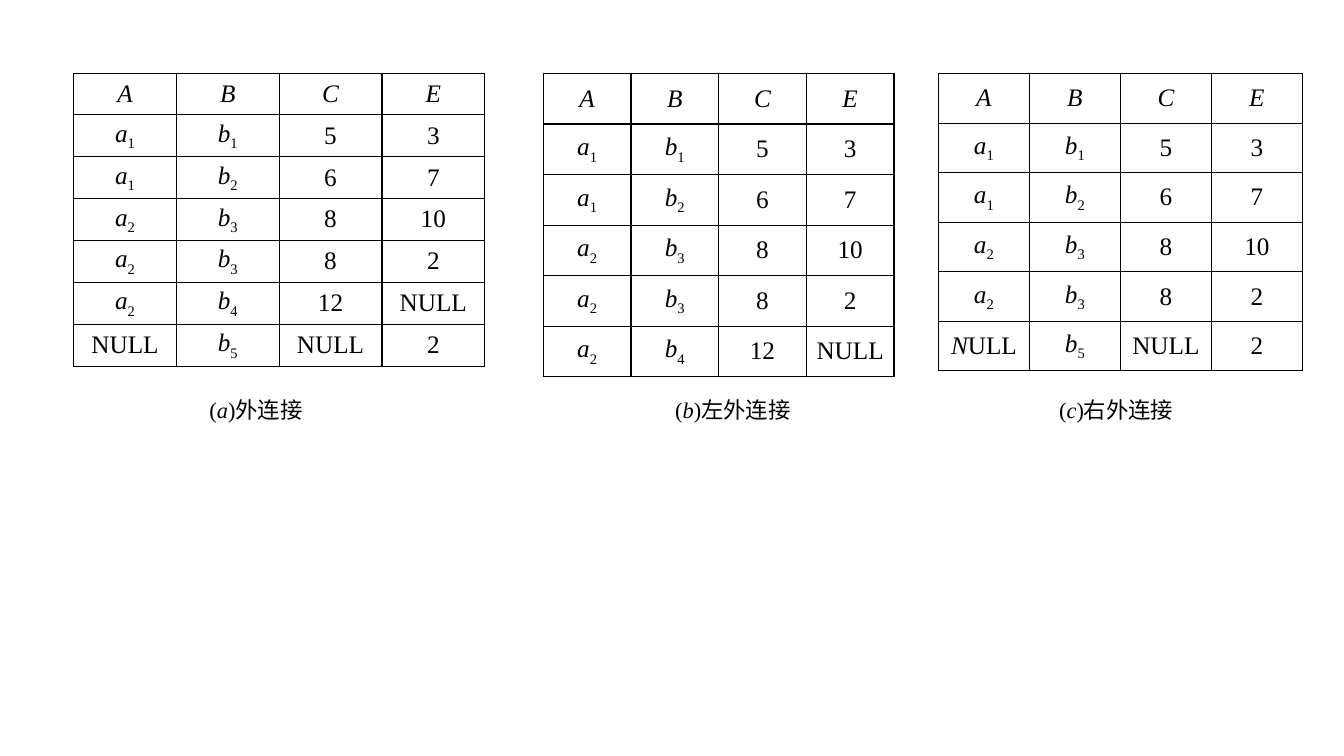
"""Build a slide comparing the results of three outer joins."""
import pptx
import pptx.dml.color
import pptx.enum.text
import pptx.oxml
import pptx.util
from pptx.oxml.ns import nsdecls

Pt = pptx.util.Pt
LATIN_FONT = "Times New Roman"
CHINESE_FONT = "Noto Sans CJK SC"
BLACK = "000000"
TABLE_TOP = 52.56
CAPTION_TOP = 279.36

HEADER = ["*A", "*B", "*C", "*E"]
MATCHED_ROWS = [
    ["*a _1", "*b _1", "5", "3"],
    ["*a _1", "*b _2", "6", "7"],
    ["*a _2", "*b _3", "8", "10"],
    ["*a _2", "*b _3", "8", "2"],
]
LEFT_ONLY = ["*a _2", "*b _4", "12", "NULL"]
RIGHT_ONLY = ["NULL", "*b _5", "NULL", "2"]
RIGHT_ONLY_ITALIC = ["*N ULL"] + RIGHT_ONLY[1:]

JOINS = [
    {"left": 52.56, "width": 293.76, "row_height": 29.2,
     "extra_rows": [LEFT_ONLY, RIGHT_ONLY],
     "caption_left": 142.56, "caption_width": 95, "letter": "a", "name": "外连接"},
    {"left": 388.08, "width": 250.56, "row_height": 36.1,
     "extra_rows": [LEFT_ONLY],
     "caption_left": 475.2, "caption_width": 111.6, "letter": "b", "name": "左外连接"},
    {"left": 670.32, "width": 260, "row_height": 35.4,
     "extra_rows": [RIGHT_ONLY_ITALIC],
     "caption_left": 749.52, "caption_width": 111.6, "letter": "c", "name": "右外连接"},
]


def color(hex_text):
    """Return the colour for a hex string."""
    return pptx.dml.color.RGBColor.from_string(hex_text)


def add_run(paragraph, text, size, font_name=LATIN_FONT):
    """Add a run; a leading * makes it italic and a leading _ a subscript."""
    run = paragraph.add_run()
    run.text = text.lstrip("*_")
    font = run.font
    font.name = font_name
    font.size = Pt(size)
    font.color.rgb = color(BLACK)
    font.italic = text.startswith("*")
    properties = run._r.get_or_add_rPr()
    if text.startswith("_"):
        properties.set("baseline", "-25000")
    properties.append(pptx.oxml.parse_xml(
        f'<a:ea {nsdecls("a")} typeface="{font_name}"/>'))


def add_borders(cell):
    """Draw a thin black line on all four sides of a cell."""
    properties = cell._tc.get_or_add_tcPr()
    for side in ("L", "R", "T", "B"):
        properties.append(pptx.oxml.parse_xml(
            f'<a:ln{side} {nsdecls("a")} w="{Pt(1)}"><a:solidFill>'
            f'<a:srgbClr val="{BLACK}"/></a:solidFill></a:ln{side}>'))


def fill_cell(cell, markup):
    """Write the marked-up runs centred in a bordered cell without fill."""
    add_borders(cell)
    cell.fill.background()
    cell.vertical_anchor = pptx.enum.text.MSO_ANCHOR.MIDDLE
    paragraph = cell.text_frame.paragraphs[0]
    paragraph.alignment = pptx.enum.text.PP_ALIGN.CENTER
    for part in markup.split():
        add_run(paragraph, part, 18)


def add_join_table(slide, left, width, row_height, rows):
    """Add a table with equal columns and equal rows."""
    column_count = len(HEADER)
    table = slide.shapes.add_table(
        len(rows), column_count, Pt(left), Pt(TABLE_TOP),
        Pt(width), Pt(row_height * len(rows))).table
    table.first_row = False
    table.horz_banding = False
    for column in table.columns:
        column.width = Pt(width / column_count)
    for row, values in zip(table.rows, rows):
        row.height = Pt(row_height)
        for cell, markup in zip(row.cells, values):
            fill_cell(cell, markup)


def add_caption(slide, left, width, letter, name):
    """Add a lettered caption under a table."""
    shape = slide.shapes.add_textbox(Pt(left), Pt(CAPTION_TOP), Pt(width), Pt(26.64))
    text_frame = shape.text_frame
    text_frame.word_wrap = True
    text_frame.auto_size = pptx.enum.text.MSO_AUTO_SIZE.SHAPE_TO_FIT_TEXT
    paragraph = text_frame.paragraphs[0]
    for part in ("(", "*" + letter, ")"):
        add_run(paragraph, part, 16)
    add_run(paragraph, name, 16, CHINESE_FONT)


def main():
    """Build the slide and save it."""
    presentation = pptx.Presentation()
    presentation.slide_width = Pt(960)
    presentation.slide_height = Pt(540)
    slide = presentation.slides.add_slide(presentation.slide_layouts[6])
    for join in JOINS:
        add_join_table(slide, join["left"], join["width"], join["row_height"],
                       [HEADER] + MATCHED_ROWS + join["extra_rows"])
    for join in JOINS:
        add_caption(slide, join["caption_left"], join["caption_width"],
                    join["letter"], join["name"])
    presentation.save("out.pptx")


main()
